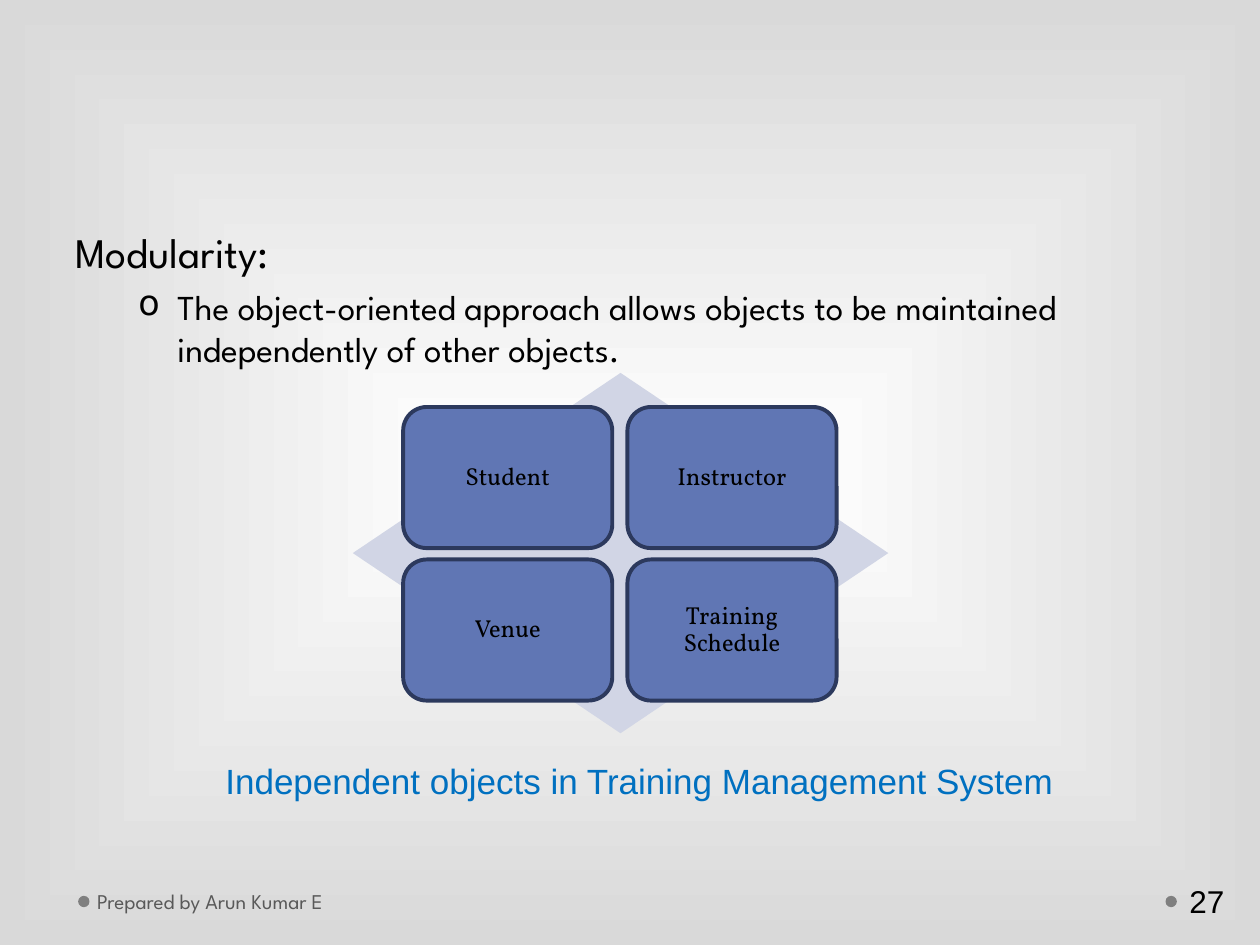
import pptx
import pptx.util
import pptx.dml.color
import pptx.enum.shapes
import pptx.enum.text
import pptx.oxml
import pptx.oxml.ns

RGBColor = pptx.dml.color.RGBColor
SHAPES = pptx.enum.shapes.MSO_SHAPE
ANCHOR = pptx.enum.text.MSO_ANCHOR
ALIGN = pptx.enum.text.PP_ALIGN
Pt = pptx.util.Pt
qn = pptx.oxml.ns.qn

WHITE = RGBColor(0xFF, 0xFF, 0xFF)
BLACK = RGBColor(0x00, 0x00, 0x00)
EDGE_GRAY = RGBColor(0xD9, 0xD9, 0xD9)
DOT_GRAY = RGBColor(0x7F, 0x7F, 0x7F)
FOOTER_GRAY = RGBColor(0x59, 0x59, 0x59)
DIAMOND_BLUE = RGBColor(0xD1, 0xD5, 0xE5)
TILE_BLUE = RGBColor(0x60, 0x76, 0xB4)
TILE_EDGE = RGBColor(0x2C, 0x39, 0x5D)
CAPTION_BLUE = RGBColor(0x00, 0x70, 0xC0)

presentation = pptx.Presentation()
presentation.slide_width = pptx.util.Inches(10)
presentation.slide_height = pptx.util.Inches(7.5)
slide = presentation.slides.add_slide(presentation.slide_layouts[6])

# Grid of square cells: 100 columns by 75 rows
COLUMN = presentation.slide_width / 100
ROW = presentation.slide_height / 75


def add_box(left, top, width, height, preset=None, fill=None):
    """Add a preset shape, or a text box if no preset is given, in grid cells."""
    place = [round(left * COLUMN), round(top * ROW),
             round(width * COLUMN), round(height * ROW)]
    if preset is None:
        shape = slide.shapes.add_textbox(*place)
    else:
        shape = slide.shapes.add_shape(preset, *place)
        shape.shadow.inherit = False
        shape.fill.solid()
        shape.fill.fore_color.rgb = fill
        shape.line.fill.background()
    shape.text_frame.word_wrap = True
    return shape


def add_run(paragraph, text, size, font, color):
    run = paragraph.add_run()
    run.text = text
    run.font.size = Pt(size)
    run.font.name = font
    run.font.color.rgb = color


# Background: white centre fading to gray edges
background = slide.background.fill
background.gradient()
for stop, color in zip(background.gradient_stops, (WHITE, EDGE_GRAY)):
    stop.color.rgb = color
gradient = slide.element.find(".//" + qn("a:gradFill"))
gradient.replace(gradient.find(qn("a:lin")), pptx.oxml.parse_xml(
    f'<a:path {pptx.oxml.ns.nsdecls("a")} path="rect">'
    '<a:fillToRect l="50000" t="50000" r="50000" b="50000"/></a:path>'))

# Footer: dots, author and slide number
for dot_left in (92.5, 6.2):
    add_box(dot_left, 71.1, 0.9, 0.9, SHAPES.OVAL, DOT_GRAY)
footer = add_box(7.2, 69.5, 31.1, 4).text_frame
footer.vertical_anchor = ANCHOR.MIDDLE
footer.margin_left = round(0.5 * COLUMN)
add_run(footer.paragraphs[0], "Prepared by Arun Kumar E", 12, "League Spartan", FOOTER_GRAY)
number = add_box(93.4, 69.5, 6.1, 4).text_frame
add_run(number.paragraphs[0], "27", 18, "Arial", BLACK)

# Heading and bullet
body = add_box(5, 17.5, 90, 49.5).text_frame
heading = body.paragraphs[0]
heading.space_before = Pt(6)
add_run(heading, "Modularity:", 24, "League Spartan", BLACK)
bullet = body.add_paragraph()
bullet.level = 1
bullet.space_before = Pt(5)
add_run(bullet, "The object-oriented approach allows objects to be maintained "
        "independently of other objects.", 20, "League Spartan", BLACK)
properties = bullet._p.get_or_add_pPr()
properties.set("marL", str(round(8.1 * COLUMN)))
properties.set("indent", str(round(-3.1 * COLUMN)))
bullet_mark = pptx.oxml.parse_xml(f'<a:buChar {pptx.oxml.ns.nsdecls("a")} char="o"/>')
properties.append(bullet_mark)

# Diamond behind two rows of two tiles
add_box(28, 29.6, 42.5, 28.6, SHAPES.DIAMOND, DIAMOND_BLUE)
for index, label in enumerate(("Student", "Instructor", "Venue", "Training Schedule")):
    tile_row, tile_column = divmod(index, 2)
    tile = add_box(32 + 17.8 * tile_column, 32.3 + 12.1 * tile_row, 16.6, 11.2,
                   SHAPES.ROUNDED_RECTANGLE, TILE_BLUE)
    tile.adjustments[0] = 0.167
    tile.line.color.rgb = TILE_EDGE
    tile.line.width = Pt(2.25)
    frame = tile.text_frame
    frame.vertical_anchor = ANCHOR.MIDDLE
    frame.margin_left = frame.margin_right = round(0.8 * COLUMN)
    paragraph = frame.paragraphs[0]
    paragraph.alignment = ALIGN.CENTER
    paragraph.line_spacing = 0.9
    paragraph.space_after = Pt(6.1)
    add_run(paragraph, label, 14, "Vollkorn", BLACK)

# Caption
caption = add_box(16.9, 59.8, 68.5, 4.4).text_frame
add_run(caption.paragraphs[0], "Independent objects in Training Management System",
        20, "Arial", CAPTION_BLUE)

presentation.save("out.pptx")
